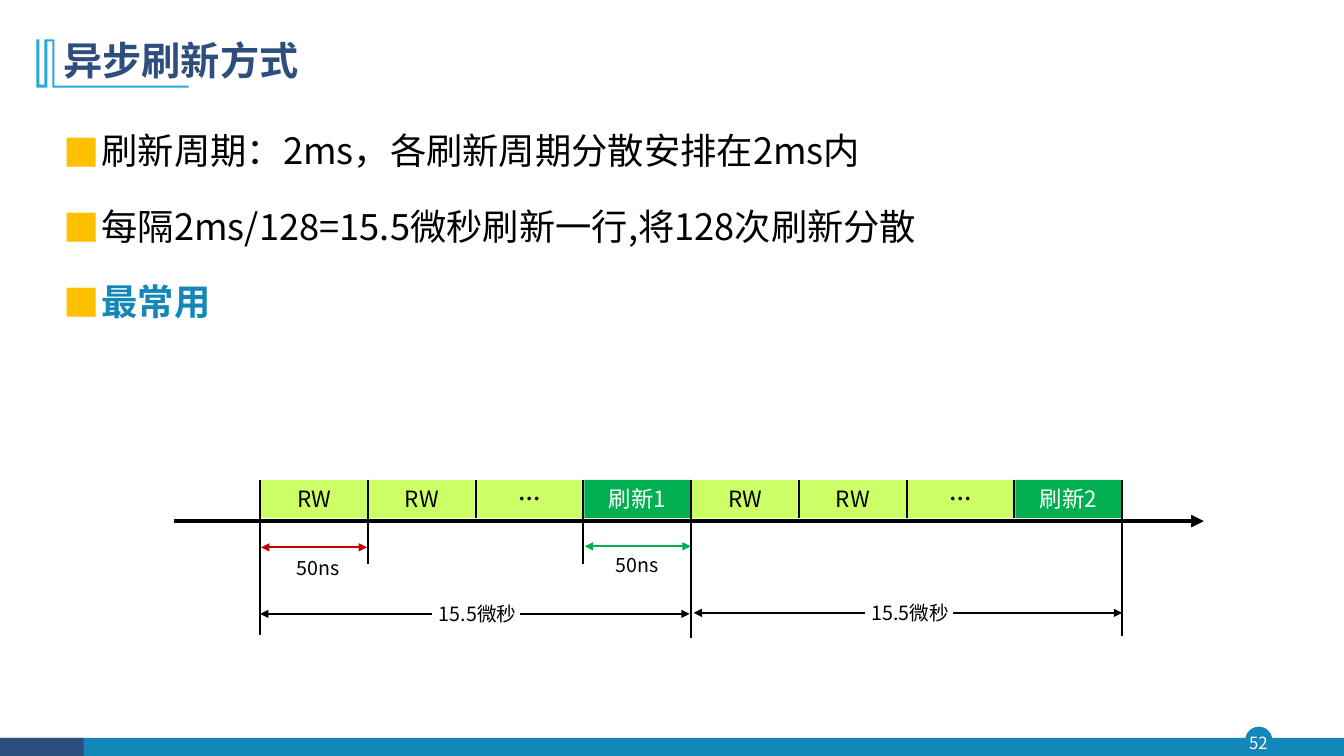
from lxml import etree
from pptx import Presentation
from pptx.dml.color import RGBColor
from pptx.enum.shapes import MSO_CONNECTOR, MSO_SHAPE
from pptx.enum.text import MSO_ANCHOR, PP_ALIGN
from pptx.oxml.ns import qn
from pptx.util import Inches, Pt

LEFT, CENTER, RIGHT, JUSTIFY = PP_ALIGN.LEFT, PP_ALIGN.CENTER, PP_ALIGN.RIGHT, PP_ALIGN.JUSTIFY
MIDDLE, TOP = MSO_ANCHOR.MIDDLE, MSO_ANCHOR.TOP
STRAIGHT = MSO_CONNECTOR.STRAIGHT
RECTANGLE, OVAL = MSO_SHAPE.RECTANGLE, MSO_SHAPE.OVAL
FONT = "Noto Sans CJK SC"
BLACK, WHITE, NAVY, TEAL, GREEN = "000000", "FFFFFF", "2E4E7E", "1387B7", "00B050"


def write(shape, lines, size, color, align, anchor=TOP, bold=False):
    frame = shape.text_frame
    frame.text = lines
    frame.word_wrap = True
    frame.vertical_anchor = anchor
    for paragraph in frame.paragraphs:
        paragraph.alignment = align
        for run in paragraph.runs:
            run.font.size = Pt(size)
            run.font.bold = bold
            run.font.color.rgb = RGBColor.from_string(color)
            run.font.name = FONT
            east_asian = etree.SubElement(run.font._element, qn("a:ea"))
            east_asian.set("typeface", FONT)


def draw_line(x1, y1, x2, y2, color=BLACK, width=1.5, arrows=()):
    line = slide.shapes.add_connector(STRAIGHT, Inches(x1), Inches(y1), Inches(x2), Inches(y2))
    line.line.color.rgb = RGBColor.from_string(color)
    line.line.width = Pt(width)
    for end in arrows:
        etree.SubElement(line.line._get_or_add_ln(), qn(f"a:{end}")).set("type", "triangle")
    etree.SubElement(line._element.spPr, qn("a:effectLst"))


prs = Presentation()
prs.slide_width, prs.slide_height = Inches(13.33), Inches(7.5)
slide = prs.slides.add_slide(prs.slide_layouts[5])

for kind, left, top, width, height, color in [
    (OVAL, 12.35, 7.21, 0.27, 0.27, TEAL),
    (RECTANGLE, 0, 7.32, 13.33, 0.18, TEAL),
    (RECTANGLE, 0, 7.32, 0.83, 0.18, NAVY),
]:
    footer = slide.shapes.add_shape(kind, Inches(left), Inches(top), Inches(width), Inches(height))
    footer.shadow.inherit = False
    footer.fill.solid()
    footer.fill.fore_color.rgb = RGBColor.from_string(color)
    footer.line.fill.background()

page_number = slide.shapes.add_textbox(Inches(12.32), Inches(7.21), Inches(0.32), Inches(0.31))
write(page_number, "52", 12, WHITE, CENTER, MIDDLE)
frame = page_number.text_frame
frame.margin_left = frame.margin_right = frame.margin_top = frame.margin_bottom = 0

outline = slide.shapes.build_freeform(54, 39, scale=Inches(0.01))
outline.add_line_segments([
    (54, 85), (187, 85), (187, 87), (52, 87), (52, 41), (47, 41), (47, 87),
    (36, 87), (36, 39), (39, 39), (39, 84), (44, 84), (44, 39),
])
title_mark = outline.convert_to_shape()
title_mark.shadow.inherit = False
title_mark.fill.solid()
title_mark.fill.fore_color.rgb = RGBColor.from_string("28A9D6")
title_mark.line.fill.background()

title = slide.shapes.title
title.left, title.top, title.width, title.height = Inches(0.53), Inches(0.28), Inches(11.5), Inches(0.68)
write(title, "异步刷新方式", 28, NAVY, LEFT, MIDDLE, True)
title.text_frame.paragraphs[0].line_spacing = 0.9

points = slide.shapes.add_textbox(Inches(0.53), Inches(1.05), Inches(11.5), Inches(2.5))
write(points, "刷新周期：2ms，各刷新周期分散安排在2ms内\n"
      "每隔2ms/128=15.5微秒刷新一行,将128次刷新分散\n最常用", 25.9, BLACK, JUSTIFY)
for index, point in enumerate(points.text_frame.paragraphs):
    point.line_spacing = 1.41
    point.space_before = Pt(10 if index else 0)
    properties = point._p.get_or_add_pPr()
    properties.set("marL", str(Inches(0.38)))
    properties.set("indent", str(-Inches(0.38)))
    bullet_color = etree.SubElement(properties, qn("a:buClr"))
    etree.SubElement(bullet_color, qn("a:srgbClr")).set("val", "FFC000")
    etree.SubElement(properties, qn("a:buFont")).set("typeface", FONT)
    etree.SubElement(properties, qn("a:buChar")).set("char", "■")
most_used = points.text_frame.paragraphs[2].runs[0].font
most_used.bold = True
most_used.color.rgb = RGBColor.from_string(TEAL)

START, END, CYCLE_TOP, AXIS = 2.58, 11.13, 4.76, 5.17
cycles = ["RW", "RW", "…", "刷新1", "RW", "RW", "…", "刷新2"]
pitch = (END - START) / len(cycles)
tick_ends = {0: 6.3, 1: 5.6, 3: 5.6, 4: 6.33, 8: 6.31}

draw_line(1.73, AXIS, 11.94, AXIS, width=3, arrows=["tailEnd"])
for index, label in enumerate(cycles):
    refresh = label.startswith("刷新")
    cycle = slide.shapes.add_shape(RECTANGLE, Inches(START + index * pitch + 0.01), Inches(CYCLE_TOP),
                                   Inches(1.05), Inches(0.38))
    cycle.shadow.inherit = False
    cycle.fill.solid()
    cycle.fill.fore_color.rgb = RGBColor.from_string(GREEN if refresh else "CCFF66")
    cycle.line.fill.background()
    write(cycle, label, 16, WHITE if refresh else BLACK, CENTER, MIDDLE, label == "…")
for index in range(len(cycles) + 1):
    x = START + index * pitch
    draw_line(x, CYCLE_TOP, x, tick_ends.get(index, 5.14))

for x1, x2, y, color in [(2.59, 3.64, 5.43, "C00000"), (5.8, 6.85, 5.42, GREEN)]:
    draw_line(x1, y, x2, y, color, arrows=["headEnd", "tailEnd"])
for inner, outer, y in [(4.28, 2.58, 6.09), (5.16, 6.84, 6.09), (8.58, 6.88, 6.08), (9.45, END, 6.08)]:
    draw_line(inner, y, outer, y, arrows=["tailEnd"])
for label, left, top, width in [
    ("50ns", 2.8, 5.47, 0.67),
    ("50ns", 5.96, 5.44, 0.67),
    ("15.5微秒", 4.07, 5.92, 1.15),
    ("15.5微秒", 8.36, 5.91, 1.15),
]:
    duration = slide.shapes.add_textbox(Inches(left), Inches(top), Inches(width), Inches(0.34))
    write(duration, label, 14, BLACK, RIGHT)

prs.save("out.pptx")
